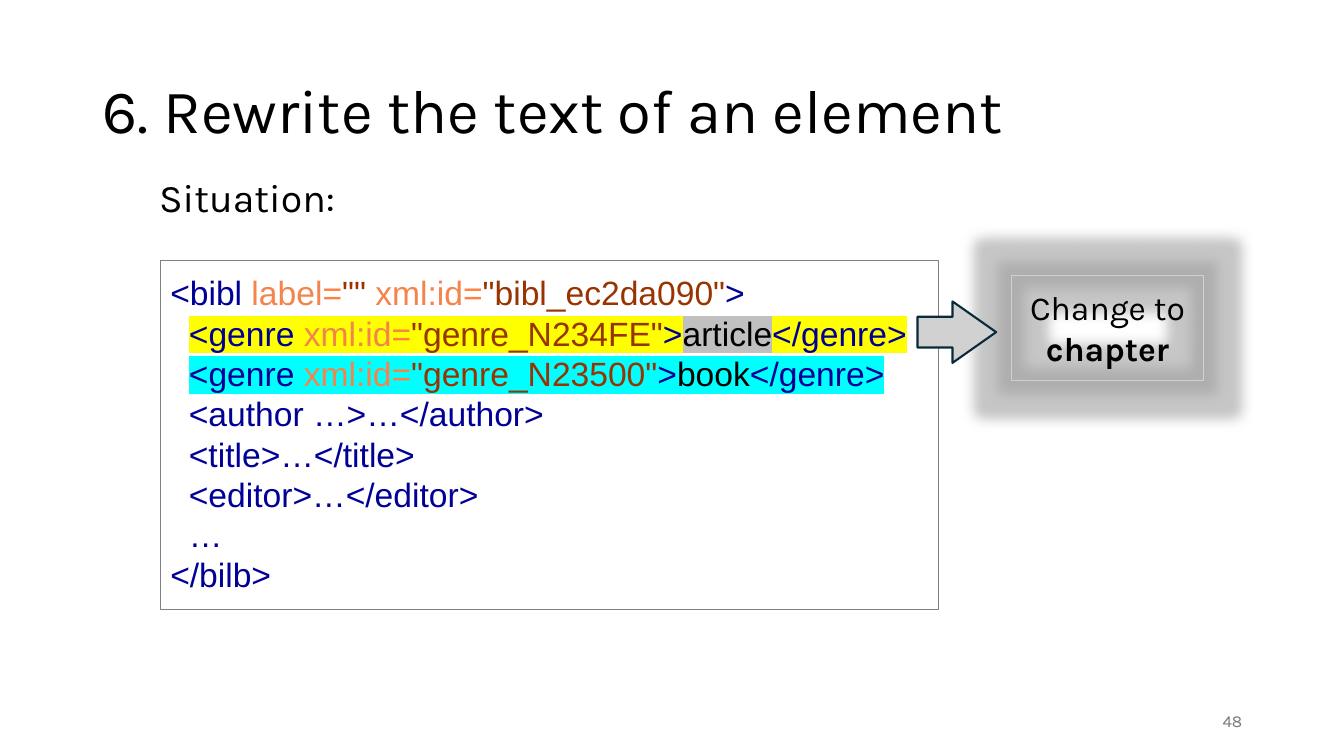
import lxml.etree
import pptx
import pptx.dml.color
import pptx.enum.shapes
import pptx.enum.text
import pptx.oxml.ns
import pptx.util

RGBColor = pptx.dml.color.RGBColor
Shape = pptx.enum.shapes.MSO_SHAPE
Align = pptx.enum.text.PP_ALIGN
Anchor = pptx.enum.text.MSO_ANCHOR
Pt = pptx.util.Pt
qn = pptx.oxml.ns.qn

PX = 9144  # 100 px to the inch
BLACK = RGBColor(0x00, 0x00, 0x00)
NAVY = RGBColor(0x00, 0x00, 0x96)
ORANGE = RGBColor(0xF5, 0x84, 0x4C)
EQUALS = RGBColor(0xFF, 0x80, 0x40)
BROWN = RGBColor(0x99, 0x33, 0x00)
YELLOW = RGBColor(0xFF, 0xFF, 0x00)
CYAN = RGBColor(0x00, 0xFF, 0xFF)
SILVER = RGBColor(0xC0, 0xC0, 0xC0)
GREY = RGBColor(0x80, 0x80, 0x80)
LIGHT = RGBColor(0xD1, 0xD1, 0xD1)
GLOW = RGBColor(0xA0, 0xA0, 0xA0)
TEAL = RGBColor(0x09, 0x2A, 0x39)
NUMBER = RGBColor(0x79, 0x79, 0x79)

deck = pptx.Presentation()
deck.slide_width, deck.slide_height = 1333 * PX, 750 * PX
page = deck.slides.add_slide(deck.slide_layouts[6])


def add_outline(kind, left, top, width, height, color, weight):
    """Add an unfilled shape with text insets and a coloured border."""
    shape = page.shapes.add_shape(kind, left * PX, top * PX, width * PX, height * PX)
    shape.shadow.inherit = False
    shape.fill.background()
    shape.line.color.rgb = color
    shape.line.width = Pt(weight)
    frame = shape.text_frame
    frame.word_wrap = True
    frame.vertical_anchor = Anchor.TOP
    frame.margin_left = frame.margin_right = 10 * PX
    frame.margin_top = frame.margin_bottom = 12 * PX
    return shape


def set_font(para, name, size, color):
    para.font.name = name
    para.font.size = Pt(size)
    para.font.color.rgb = color


# Title, subtitle and page number
labels = [
    ("6. Rewrite the text of an element", 92, 40, 1150, 145, 44, BLACK, Anchor.MIDDLE, Align.LEFT, 0.9),
    ("Situation:", 148, 172, 1094, 61, 28, BLACK, Anchor.TOP, Align.LEFT, 0.9),
    ("48", 942, 695, 300, 40, 12, NUMBER, Anchor.MIDDLE, Align.RIGHT, 1.0),
]
for text, left, top, width, height, size, color, anchor, align, spacing in labels:
    box = page.shapes.add_textbox(left * PX, top * PX, width * PX, height * PX)
    box.text_frame.word_wrap = True
    box.text_frame.vertical_anchor = anchor
    para = box.text_frame.paragraphs[0]
    para.text = text
    para.alignment = align
    para.line_spacing = spacing
    set_font(para, "Karla", size, color)

# XML listing: each line is a list of (text, colour, highlight)
code_lines = [[
    ("<bibl", NAVY, None), (" label", ORANGE, None), ("=", EQUALS, None),
    ('"" ', BROWN, None), ("xml:id", ORANGE, None), ("=", EQUALS, None),
    ('"bibl_ec2da090"', BROWN, None), (">", NAVY, None),
]]
for genre_id, genre, genre_color, marker in [
    ("genre_N234FE", "article", SILVER, YELLOW),
    ("genre_N23500", "book", CYAN, CYAN),
]:
    code_lines.append([
        ("  ", NAVY, None), ("<genre", NAVY, marker), (" xml:id", ORANGE, marker),
        ("=", EQUALS, marker), (f'"{genre_id}"', BROWN, marker), (">", NAVY, marker),
        (genre, BLACK, genre_color), ("</genre>", NAVY, marker),
    ])
for line in ["  <author …>…</author>", "  <title>…</title>", "  <editor>…</editor>", "  …", "</bilb>"]:
    code_lines.append([(line, NAVY, None)])

listing = add_outline(Shape.RECTANGLE, 159, 258, 772, 347, GREY, 0.75)
for index, line in enumerate(code_lines):
    frame = listing.text_frame
    para = frame.add_paragraph() if index else frame.paragraphs[0]
    para.alignment = Align.LEFT
    set_font(para, "Arial", 24, NAVY)
    for text, color, marker in line:
        span = para.add_run()
        span.text = text
        span.font.color.rgb = color
        if marker is not None:
            highlight = lxml.etree.SubElement(span.font._element, qn("a:highlight"))
            lxml.etree.SubElement(highlight, qn("a:srgbClr"), val=str(marker))

# Glowing note
note = add_outline(Shape.RECTANGLE, 1003, 273, 191, 105, LIGHT, 0.75)
para = note.text_frame.paragraphs[0]
para.alignment = Align.CENTER
set_font(para, "Karla", 24, BLACK)
for text, bold in [("Change to ", False), ("chapter", True)]:
    span = para.add_run()
    span.text = text
    span.font.bold = bold
effects = note._element.spPr.find(qn("a:effectLst"))
glow = lxml.etree.SubElement(effects, qn("a:glow"), rad=str(25 * PX))
glow_color = lxml.etree.SubElement(glow, qn("a:srgbClr"), val=str(GLOW))
lxml.etree.SubElement(glow_color, qn("a:alpha"), val="60000")

# Arrow from the highlighted line to the note
arrow = add_outline(Shape.RIGHT_ARROW, 910, 299, 78, 61, TEAL, 1.5)
arrow.adjustments[0] = 0.5
arrow.adjustments[1] = 0.71
arrow.fill.solid()
arrow.fill.fore_color.rgb = LIGHT

deck.save("out.pptx")
